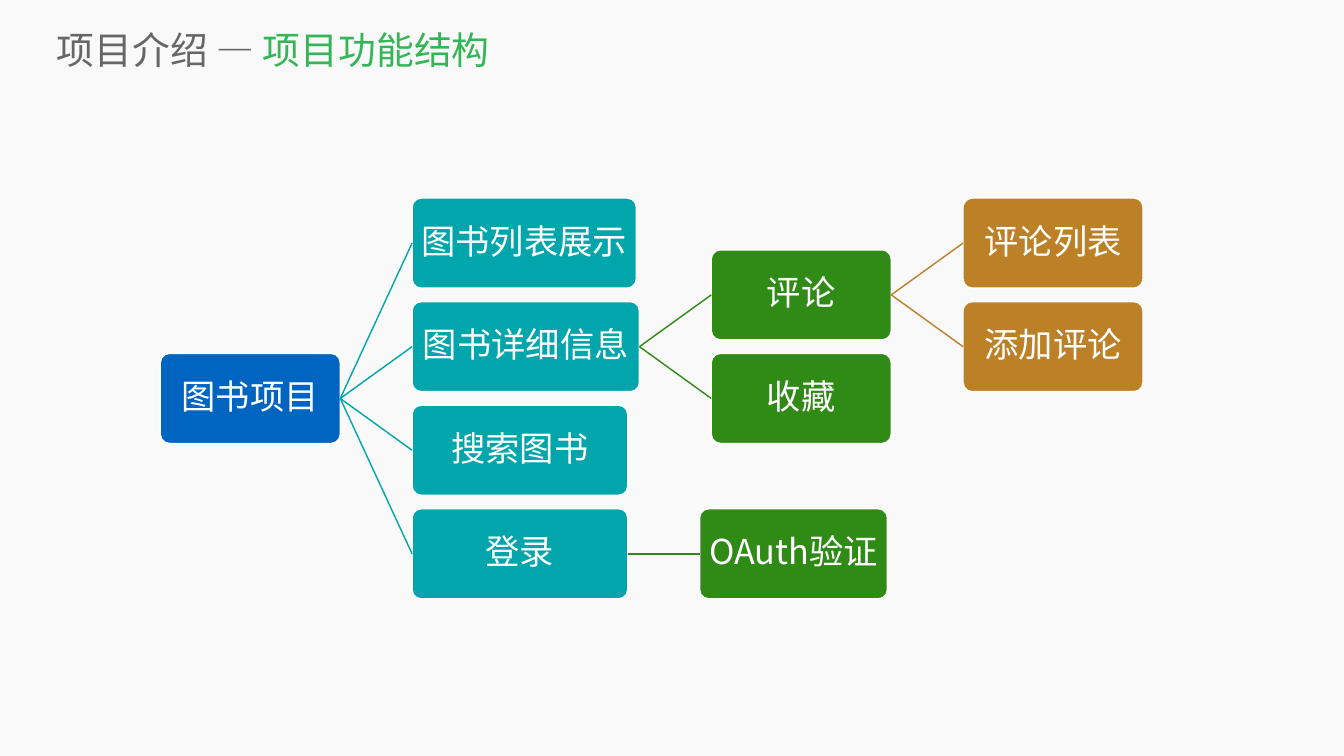
from dataclasses import dataclass, field

from lxml import etree
from pptx import Presentation
from pptx.dml.color import RGBColor
from pptx.enum.shapes import MSO_CONNECTOR, MSO_SHAPE
from pptx.enum.text import MSO_ANCHOR, PP_ALIGN
from pptx.oxml.ns import qn
from pptx.util import Cm, Pt

ROUNDED = MSO_SHAPE.ROUNDED_RECTANGLE
STRAIGHT = MSO_CONNECTOR.STRAIGHT
MIDDLE = MSO_ANCHOR.MIDDLE
CENTER, LEFT = PP_ALIGN.CENTER, PP_ALIGN.LEFT
LEFT_SIDE, RIGHT_SIDE = 1, 3

FONT = "Noto Sans CJK SC"
WHITE = "FFFFFF"
LEVEL_COLOURS = ["0065C1", "00A6AC", "308B16", "BC8027"]

ROOT_LEFT = 8.08
FIRST_TOP = 9.98
ROW_PITCH = 5.22
LEVEL_GAP = 3.62
BOX_HEIGHT = 4.54
BOX_WIDTH = 9.07
WIDE_WIDTH = 10.87
INSET = 0.08


@dataclass
class Feature:
    """A box in the tree; row counts box pitches from the top."""
    label: str
    row: float
    width: float = BOX_WIDTH
    children: list["Feature"] = field(default_factory=list)


PROJECT = Feature("图书项目", 1.5, children=[
    Feature("图书列表展示", 0, 11.3),
    Feature("图书详细信息", 1, 11.46, [
        Feature("评论", 0.5, children=[
            Feature("评论列表", 0),
            Feature("添加评论", 1),
        ]),
        Feature("收藏", 1.5),
    ]),
    Feature("搜索图书", 2, WIDE_WIDTH),
    Feature("登录", 3, WIDE_WIDTH, [Feature("OAuth验证", 3, 9.47)]),
])


def colour(value: str) -> RGBColor:
    return RGBColor.from_string(value)


def format_frame(frame, inset: float) -> None:
    settings = {
        "vertical_anchor": MIDDLE,
        "margin_left": Cm(inset), "margin_right": Cm(inset),
        "margin_top": Cm(inset), "margin_bottom": Cm(inset),
    }
    for name, value in settings.items():
        setattr(frame, name, value)


def add_span(para, text: str, size: float, text_colour: str) -> None:
    span = para.add_run()
    span.text = text
    for name, value in {"name": FONT, "size": Pt(size)}.items():
        setattr(span.font, name, value)
    span.font.color.rgb = colour(text_colour)
    # Chinese characters take their font from a:ea
    east_asian = etree.SubElement(span.font._element, qn("a:ea"))
    east_asian.set("typeface", FONT)


def add_title(page) -> None:
    box = page.shapes.add_textbox(Cm(2.87), Cm(1.19), Cm(63.91), Cm(2.59))
    frame = box.text_frame
    frame.word_wrap = True
    format_frame(frame, 0)
    para = frame.paragraphs[0]
    para.alignment = LEFT
    add_span(para, "项目介绍 — ", 54, "666666")
    add_span(para, "项目功能结构", 54, "35B558")


def add_box(page, feature: Feature, left: float, fill: str):
    top = FIRST_TOP + feature.row * ROW_PITCH
    box = page.shapes.add_shape(
        ROUNDED, Cm(left), Cm(top), Cm(feature.width), Cm(BOX_HEIGHT))
    box.adjustments[0] = 0.1
    box.shadow.inherit = False
    box.fill.solid()
    box.fill.fore_color.rgb = colour(fill)
    box.line.color.rgb = colour(WHITE)
    box.line.width = Pt(2)
    frame = box.text_frame
    frame.word_wrap = False
    format_frame(frame, INSET)
    para = frame.paragraphs[0]
    para.alignment = CENTER
    para.line_spacing = 0.9
    add_span(para, feature.label, 49, WHITE)
    return box


def join_boxes(page, parent, child, line_colour: str) -> None:
    line = page.shapes.add_connector(STRAIGHT, 0, 0, 0, 0)
    line.begin_connect(parent, RIGHT_SIDE)
    line.end_connect(child, LEFT_SIDE)
    line.line.color.rgb = colour(line_colour)
    line.line.width = Pt(2)
    etree.SubElement(line._element.spPr, qn("a:effectLst"))


def add_tree(page, feature: Feature, left: float = ROOT_LEFT, level: int = 0):
    """Draw a feature and all below it; each child starts one gap to the right."""
    box = add_box(page, feature, left, LEVEL_COLOURS[level])
    child_left = left + feature.width + LEVEL_GAP
    for child in feature.children:
        child_box = add_tree(page, child, child_left, level + 1)
        join_boxes(page, box, child_box, LEVEL_COLOURS[level + 1])
    return box


def main() -> None:
    deck = Presentation()
    deck.slide_width, deck.slide_height = Cm(67.74), Cm(38.1)
    page = deck.slides.add_slide(deck.slide_layouts[6])
    page.background.fill.solid()
    page.background.fill.fore_color.rgb = colour("F9F9F9")
    add_title(page)
    add_tree(page, PROJECT)
    deck.save("out.pptx")


if __name__ == "__main__":
    main()
